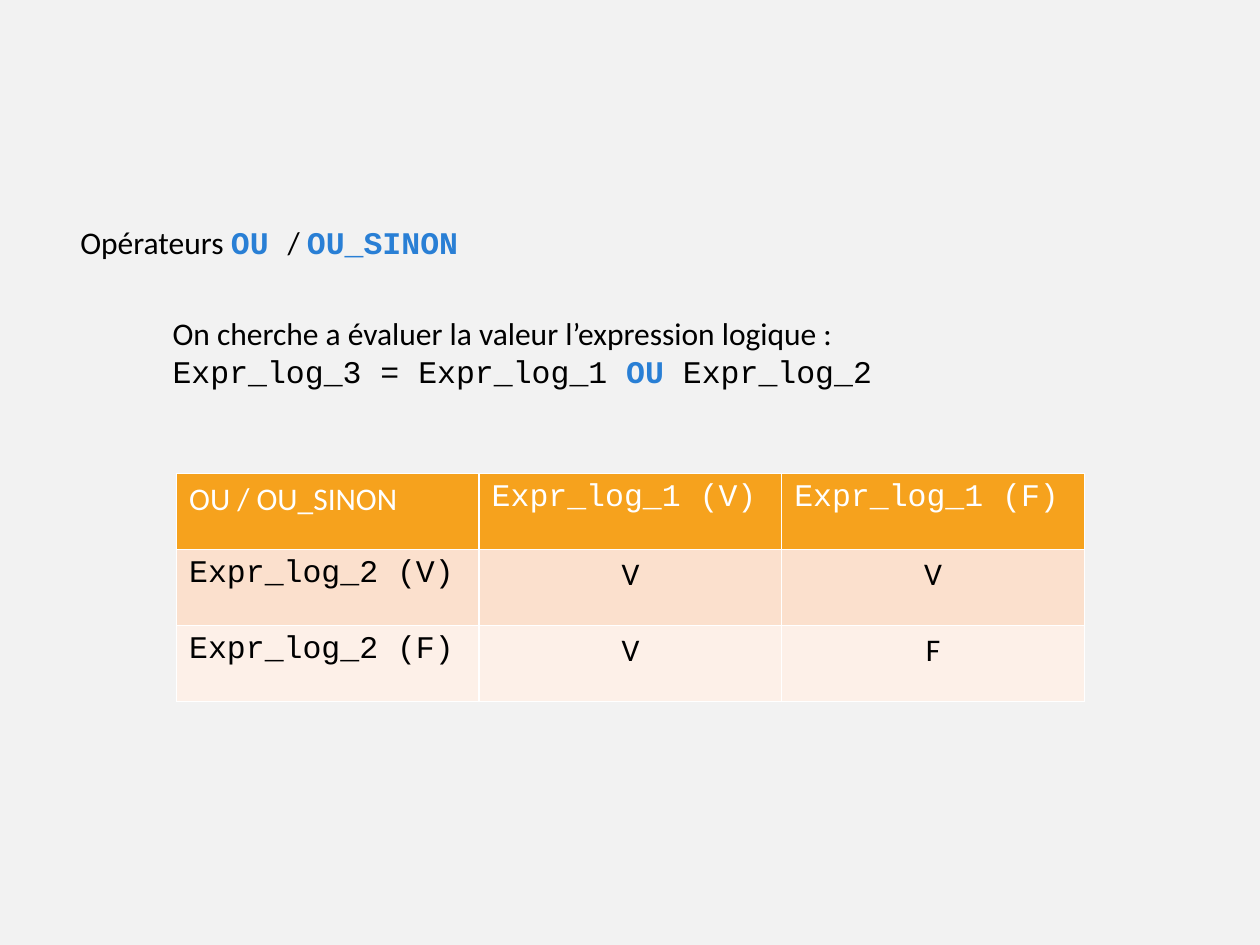
from typing import NamedTuple

from lxml.etree import SubElement
from pptx import Presentation
from pptx.dml.color import RGBColor
from pptx.enum.text import MSO_AUTO_SIZE as AutoSize, PP_ALIGN as Align
from pptx.oxml.ns import qn
from pptx.util import Cm, Pt

BLACK = RGBColor(0, 0, 0)
WHITE = RGBColor(255, 255, 255)
BLUE = RGBColor(0x29, 0x7F, 0xD5)
GREY = RGBColor(0xF2, 0xF2, 0xF2)
ORANGE = RGBColor(0xF6, 0xA2, 0x1D)
PEACH = RGBColor(0xFB, 0xE0, 0xCD)
CREAM = RGBColor(0xFD, 0xF0, 0xE8)
SANS, MONO = "Calibri", "Courier New"
SIZE = Pt(18)


class Span(NamedTuple):
    text: str
    font: str = SANS
    color: RGBColor = BLACK
    bold: bool = False


class Box(NamedTuple):
    left: float
    top: float
    width: float
    height: float
    lines: list[list[Span]]


class Row(NamedTuple):
    cells: list[Span]
    fill: RGBColor


def keyword(text: str) -> Span:
    return Span(text, MONO, BLUE, True)


def code(text: str, color: RGBColor = BLACK) -> Span:
    return Span(text, MONO, color)


def style(font, span: Span) -> None:
    font.size = SIZE
    font.name = span.font
    font.bold = span.bold
    font.color.rgb = span.color


def add_text(s, box: Box) -> None:
    sp = s.shapes.add_textbox(*map(Cm, box[:4]))
    tf = sp.text_frame
    tf.word_wrap = True
    tf.auto_size = AutoSize.SHAPE_TO_FIT_TEXT
    for i, line in enumerate(box.lines):
        p = tf.add_paragraph() if i else tf.paragraphs[0]
        if len(line) == 1:
            style(p.font, line[0])
        for span in line:
            r = p.add_run()
            r.text = span.text
            if len(line) > 1:
                style(r.font, span)


def set_borders(cell, color: RGBColor, width: int) -> None:
    tc_pr = cell._tc.get_or_add_tcPr()
    for i, side in enumerate(("a:lnL", "a:lnR", "a:lnT", "a:lnB")):
        ln = tc_pr.makeelement(qn(side), {"w": str(width)})
        fill = SubElement(ln, qn("a:solidFill"))
        SubElement(fill, qn("a:srgbClr"), val=str(color))
        tc_pr.insert(i, ln)


def add_truth_table(s, rows: list[Row], left: float, top: float,
                    col_width: float, row_height: float) -> None:
    n_rows, n_cols = len(rows), len(rows[0].cells)
    table = s.shapes.add_table(n_rows, n_cols, Cm(left), Cm(top),
                               Cm(col_width * n_cols),
                               Cm(row_height * n_rows)).table
    for i, row in enumerate(rows):
        for j, span in enumerate(row.cells):
            cell = table.cell(i, j)
            cell.fill.solid()
            cell.fill.fore_color.rgb = row.fill
            set_borders(cell, WHITE, Pt(1))
            p = cell.text_frame.paragraphs[0]
            p.text = span.text
            style(p.font, span)
            if i and j:
                p.alignment = Align.CENTER


BOXES = [
    Box(1.37, 4.37, 13.2, 1.03, [
        [Span("Opérateurs "), keyword("OU "), Span("/ "), keyword("OU_SINON")],
    ]),
    Box(3.23, 6.2, 16.97, 1.8, [
        [Span("On cherche a évaluer la valeur l’expression logique :")],
        [code("Expr_log_3 = Expr_log_1 "), keyword("OU "), code("Expr_log_2")],
    ]),
]
ROWS = [
    Row([Span("OU / OU_SINON", color=WHITE), code("Expr_log_1 (V)", WHITE),
         code("Expr_log_1 (F)", WHITE)], ORANGE),
    Row([code("Expr_log_2 (V)"), Span("V"), Span("V")], PEACH),
    Row([code("Expr_log_2 (F)"), Span("V"), Span("F")], CREAM),
]


def main() -> None:
    prs = Presentation()
    prs.slide_width, prs.slide_height = Cm(25.4), Cm(19.05)
    s = prs.slides.add_slide(prs.slide_layouts[6])
    s.background.fill.solid()
    s.background.fill.fore_color.rgb = GREY
    for box in BOXES:
        add_text(s, box)
    add_truth_table(s, ROWS, left=3.56, top=9.55, col_width=6.1, row_height=1.53)
    prs.save("out.pptx")


if __name__ == "__main__":
    main()
